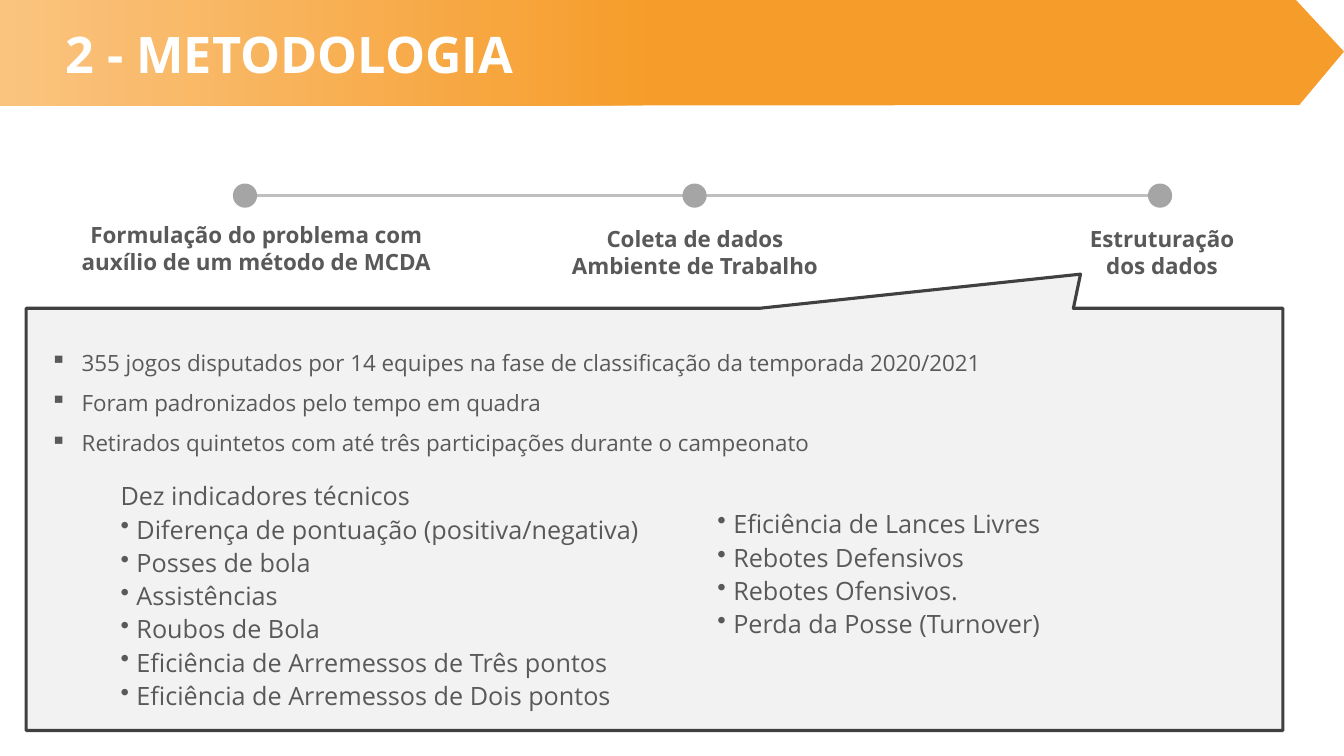
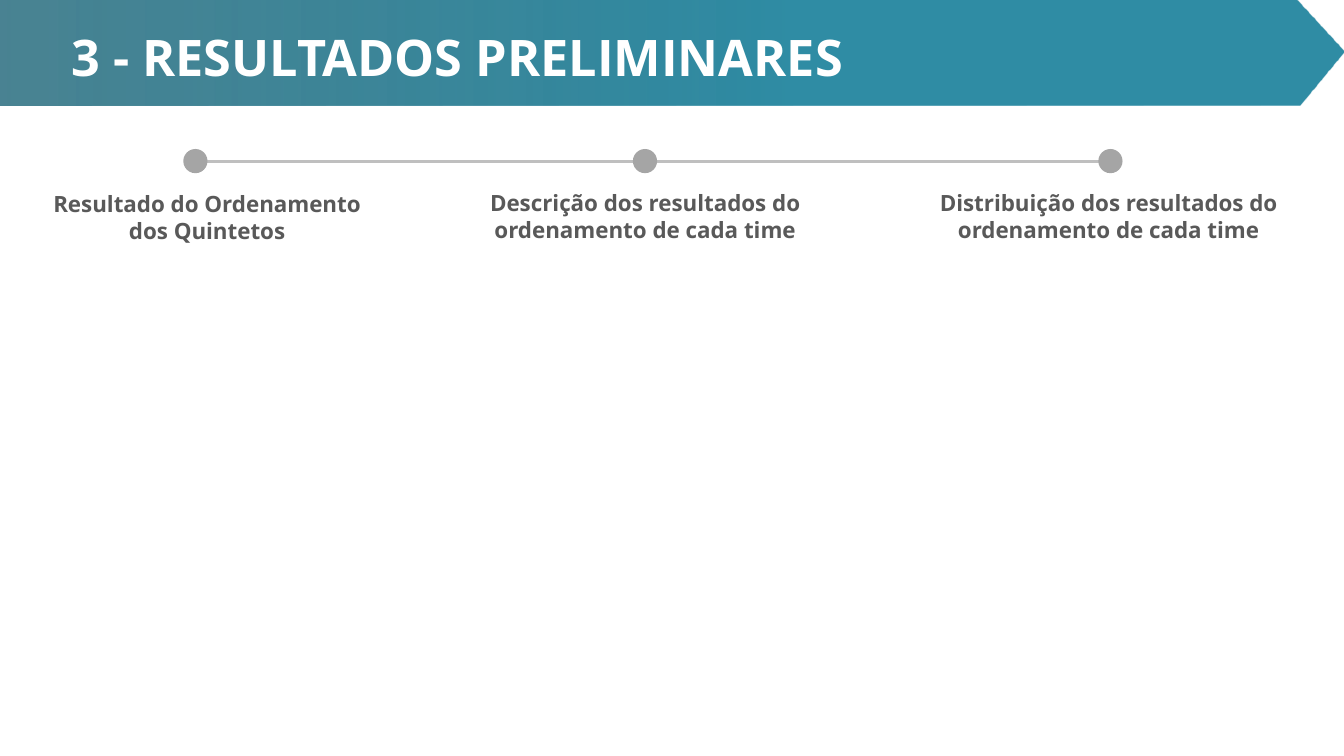
import pptx
import pptx.dml.color
import pptx.enum.shapes
import pptx.enum.text
import pptx.oxml.ns
import pptx.util
from lxml import etree

Cm = pptx.util.Cm
Pt = pptx.util.Pt
Shape = pptx.enum.shapes.MSO_SHAPE
Align = pptx.enum.text.PP_ALIGN
qn = pptx.oxml.ns.qn


def color(value):
    return pptx.dml.color.RGBColor.from_string(value)


class Presenter:
    FONT = "Open Sans"
    TEXT = "595959"
    WHITE = "FFFFFF"
    TRACK = "BFBFBF"
    DOT = "A5A5A5"
    PANEL = "F2F2F2"
    OUTLINE = "404040"
    BAND = [(0, 0), (32.66, 0), (33.87, 1.3), (32.74, 2.65), (0, 2.66)]
    DOT_SIZE = 0.61
    DOT_OFFSETS = (0, 11.33, 23.06)
    LABEL_HEIGHT = 1.63

    def __init__(self):
        self.deck = pptx.Presentation()
        self.deck.slide_width = Cm(33.87)
        self.deck.slide_height = Cm(19.05)
        self.slide = None

    def new_slide(self):
        self.slide = self.deck.slides.add_slide(self.deck.slide_layouts[6])

    def text(self, left, top, width, height, lines, size=16, bold=False,
             tint=TEXT, align=Align.LEFT, spacing=1.0):
        box = self.slide.shapes.add_textbox(Cm(left), Cm(top), Cm(width), Cm(height))
        frame = box.text_frame
        frame.word_wrap = True
        frame.text = "\n".join(lines)
        for para in frame.paragraphs:
            para.alignment = align
            para.line_spacing = spacing
            for span in para.runs:
                span.font.name = self.FONT
                span.font.size = Pt(size)
                span.font.bold = bold
                span.font.color.rgb = color(tint)
        return frame.paragraphs

    def bullets(self, paragraphs, mark, hanging, indent=0):
        for para in paragraphs:
            properties = para._p.get_or_add_pPr()
            properties.set("marL", str(Cm(indent + hanging)))
            properties.set("indent", str(-Cm(hanging)))
            etree.SubElement(properties, qn("a:buChar")).set("char", mark)

    def band(self, solid, solid_until, faded, opacity=100):
        points = [(Cm(x), Cm(y)) for x, y in self.BAND]
        builder = self.slide.shapes.build_freeform(*points[0])
        builder.add_line_segments(points[1:], close=True)
        band = builder.convert_to_shape()
        band.shadow.inherit = False
        band.line.fill.background()
        band.fill.gradient()
        band.fill.gradient_angle = 180
        stops = band.fill.gradient_stops
        for stop, position, tint in zip(stops, (solid_until, 1), (solid, faded)):
            stop.position = position
            stop.color.rgb = color(tint)
        if opacity < 100:
            last_color = list(band._element.spPr.iter(qn("a:srgbClr")))[-1]
            etree.SubElement(last_color, qn("a:alpha")).set("val", str(opacity * 1000))

    def title(self, left, top, wording):
        self.text(left, top, 30.48, 1.8, [wording], size=36, bold=True,
                  tint=self.WHITE, spacing=0.9)

    def callout(self, left, top, width, height, tip_x, tip_y):
        callout = self.slide.shapes.add_shape(
            Shape.RECTANGULAR_CALLOUT, Cm(left), Cm(top), Cm(width), Cm(height))
        callout.adjustments[0] = tip_x
        callout.adjustments[1] = tip_y
        callout.shadow.inherit = False
        callout.fill.solid()
        callout.fill.fore_color.rgb = color(self.PANEL)
        callout.line.color.rgb = color(self.OUTLINE)
        callout.line.width = Pt(2.25)

    def timeline(self, left, middle, labels):
        radius = self.DOT_SIZE / 2
        track = self.slide.shapes.add_connector(
            pptx.enum.shapes.MSO_CONNECTOR.STRAIGHT,
            Cm(left + radius), Cm(middle),
            Cm(left + self.DOT_OFFSETS[-1] + radius), Cm(middle))
        track.line.color.rgb = color(self.TRACK)
        track.line.width = Pt(2.25)
        etree.SubElement(track._element.spPr, qn("a:effectLst"))
        for offset in self.DOT_OFFSETS:
            dot = self.slide.shapes.add_shape(
                Shape.OVAL, Cm(left + offset), Cm(middle - radius),
                Cm(self.DOT_SIZE), Cm(self.DOT_SIZE))
            dot.shadow.inherit = False
            dot.fill.solid()
            dot.fill.fore_color.rgb = color(self.DOT)
            dot.line.fill.background()
        for label_left, label_top, width, lines in labels:
            self.text(label_left, label_top, width, self.LABEL_HEIGHT, lines,
                      bold=True, align=Align.CENTER)


def methodology(show):
    show.new_slide()
    show.callout(0.66, 7.77, 31.67, 10.64, 0.339, -0.581)
    show.band("F69C2A", 0.51, "FAC47F")
    show.title(1.4, 0.64, "2 - METODOLOGIA")
    facts = show.text(1.02, 8.33, 29.79, 3.23, [
        "355 jogos disputados por 14 equipes na fase de classificação da temporada 2020/2021",
        "Foram padronizados pelo tempo em quadra",
        "Retirados quintetos com até três participações durante o campeonato",
    ], spacing=1.5)
    show.bullets(facts, "▪", 0.79)
    indicators = show.text(1.52, 11.91, 14.96, 6.15, [
        "Dez indicadores técnicos",
        "Diferença de pontuação (positiva/negativa)",
        "Posses de bola",
        "Assistências",
        "Roubos de Bola",
        "Eficiência de Arremessos de Três pontos",
        "Eficiência de Arremessos de Dois pontos",
    ], size=18, spacing=1.1)
    indicators[0]._p.get_or_add_pPr().set("marL", str(Cm(1.27)))
    show.bullets(indicators[1:], "•", 0.4, indent=1.27)
    more_indicators = show.text(17.83, 12.62, 10.08, 3.61, [
        "Eficiência de Lances Livres",
        "Rebotes Defensivos",
        "Rebotes Ofensivos.",
        "Perda da Posse (Turnover)",
    ], size=18, spacing=1.1)
    show.bullets(more_indicators, "•", 0.4)
    show.timeline(5.87, 4.93, [
        (1.52, 5.46, 9.88, ["Formulação do problema com auxílio de um método de MCDA"]),
        (13.97, 5.56, 7.09, ["Coleta de dados", "Ambiente de Trabalho"]),
        (26.67, 5.54, 5.23, ["Estruturação dos dados"]),
    ])


def preliminary_results(show):
    show.new_slide()
    show.band("2F8CA4", 0.41, "23697B", opacity=82)
    show.title(1.55, 0.71, "3 - RESULTADOS PRELIMINARES")
    show.timeline(4.62, 4.06, [
        (0.76, 4.67, 8.92, ["Resultado do Ordenamento dos Quintetos"]),
        (11.61, 4.65, 9.3, ["Descrição dos resultados do ordenamento de cada time"]),
        (23.29, 4.65, 9.3, ["Distribuição dos resultados do ordenamento de cada time"]),
    ])


def main():
    show = Presenter()
    methodology(show)
    preliminary_results(show)
    show.deck.save("out.pptx")


if __name__ == "__main__":
    main()
